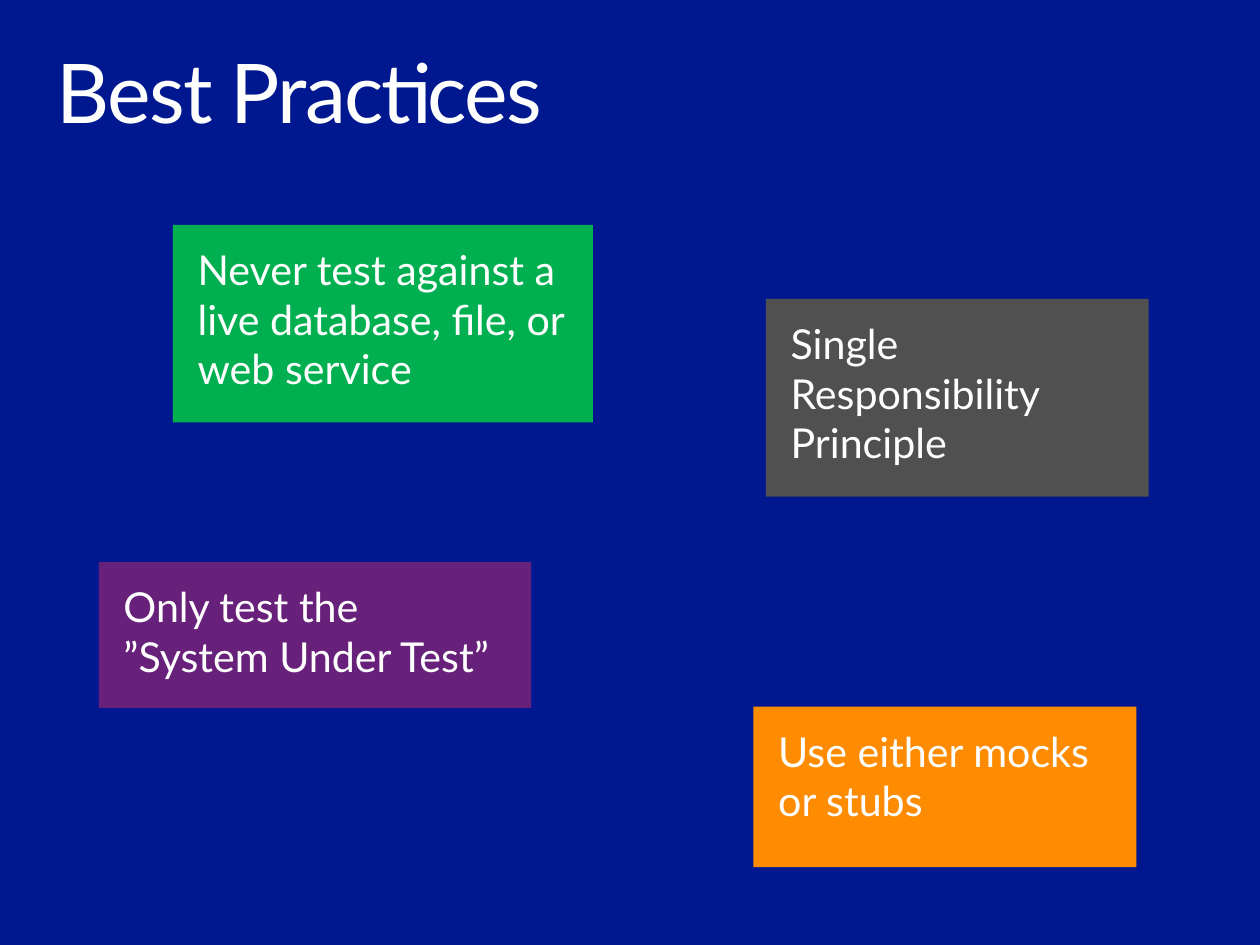
"""Build the Best Practices slide with four coloured statement boxes."""
from dataclasses import dataclass

from pptx import Presentation
from pptx.dml.color import RGBColor
from pptx.enum.shapes import MSO_SHAPE
from pptx.enum.text import MSO_ANCHOR, MSO_AUTO_SIZE, PP_ALIGN
from pptx.util import Pt


@dataclass(frozen=True)
class Theme:
    font: str = "Lato"
    title_size: int = 48
    box_size: int = 24
    background: str = "00188F"
    text: str = "FFFFFF"
    orange: str = "FF8C00"
    purple: str = "68217A"
    gray: str = "505050"
    green: str = "00B050"


THEME = Theme()

PRACTICES = [
    (THEME.orange, (439.2, 411.84, 223.2, 93.6), ["Use either mocks or stubs"]),
    (THEME.purple, (57.6, 327.6, 252, 84.96), ["Only test the", "”System Under Test”"]),
    (THEME.gray, (446.4, 174.24, 223.2, 115.2), ["Single Responsibility Principle"]),
    (THEME.green, (100.8, 131.04, 244.8, 115.2),
     ["Never test against a live database, file, or web service"]),
]


def paint(fill, color):
    fill.solid()
    fill.fore_color.rgb = RGBColor.from_string(color)


def write_text(shape, lines, size, side_inset, top_inset):
    frame = shape.text_frame
    frame.text = "\n".join(lines)
    frame.word_wrap = True
    frame.auto_size = MSO_AUTO_SIZE.NONE
    frame.vertical_anchor = MSO_ANCHOR.TOP
    frame.margin_left = frame.margin_right = Pt(side_inset)
    frame.margin_top = frame.margin_bottom = Pt(top_inset)
    for para in frame.paragraphs:
        para.alignment = PP_ALIGN.LEFT
        para.font.name = THEME.font
        para.font.size = Pt(size)
        para.font.color.rgb = RGBColor.from_string(THEME.text)


def add_title(page, text):
    title = page.shapes.title
    title.left, title.top, title.width, title.height = map(Pt, (21.6, 23.04, 691.2, 72))
    write_text(title, [text], THEME.title_size, 11.52, 7.2)
    para = title.text_frame.paragraphs[0]
    para.line_spacing = 0.9
    para.runs[0].font._element.set("spc", "-100")


def add_practice(page, color, bounds, lines):
    box = page.shapes.add_shape(MSO_SHAPE.RECTANGLE, *map(Pt, bounds))
    box.shadow.inherit = False
    paint(box.fill, color)
    box.line.fill.background()
    write_text(box, lines, THEME.box_size, 14.4, 11.52)


def main():
    deck = Presentation()
    deck.slide_width, deck.slide_height = Pt(734.4), Pt(550.8)
    page = deck.slides.add_slide(deck.slide_layouts[5])
    paint(page.background.fill, THEME.background)
    add_title(page, "Best Practices")
    for color, bounds, lines in PRACTICES:
        add_practice(page, color, bounds, lines)
    deck.save("out.pptx")


if __name__ == "__main__":
    main()
